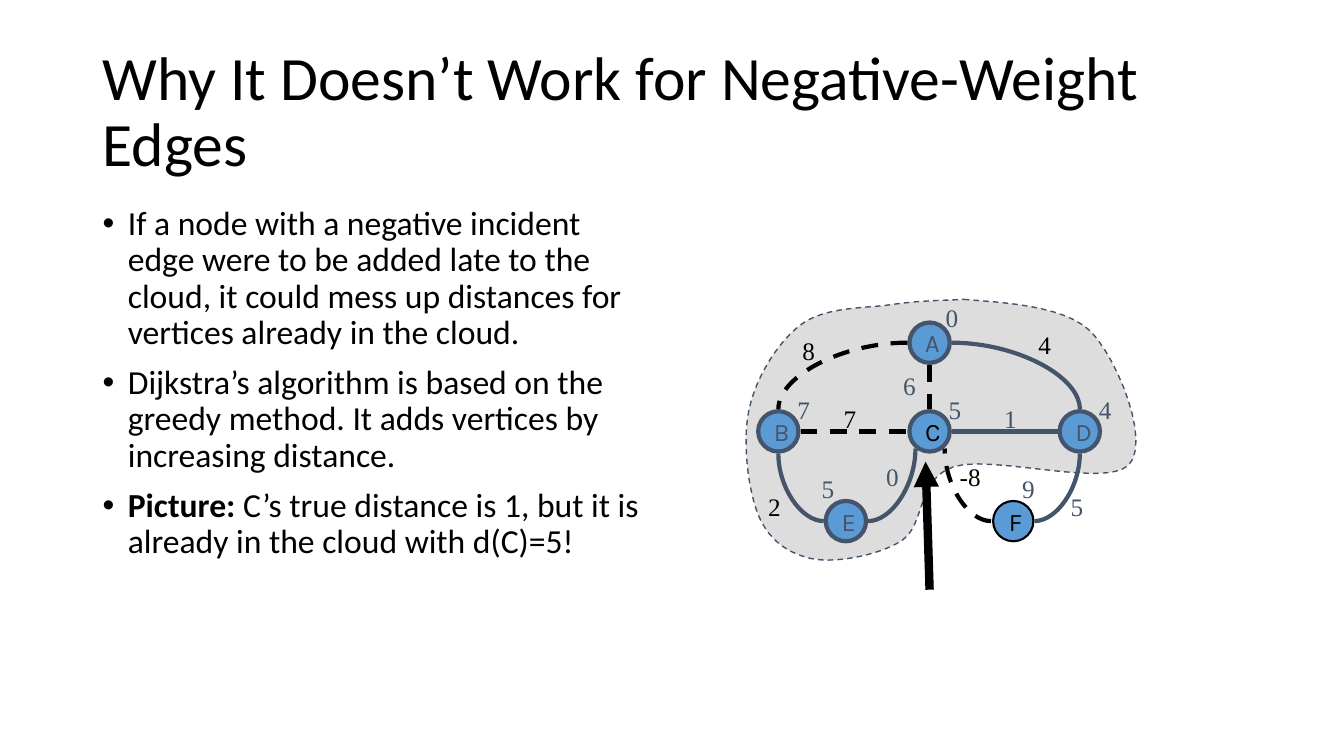
from lxml import etree
from pptx import Presentation
from pptx.dml.color import RGBColor
from pptx.enum import dml, shapes, text
from pptx.oxml import ns
from pptx.util import Inches, Pt

COLORS = {"ink": "000000", "slate": "44546A", "node": "5B9BD5", "cloud": "DDDDDD"}
RGB = {name: RGBColor.from_string(code) for name, code in COLORS.items()}
DASH = dml.MSO_LINE.DASH

deck = Presentation()
deck.slide_width, deck.slide_height = Inches(13.33), Inches(7.5)
slide = deck.slides.add_slide(deck.slide_layouts[6])
items = slide.shapes


def style(para, size, face, color):
    para.font.size = Pt(size)
    para.font.name = face
    para.font.color.rgb = RGB[color]


def link(kind, start, end, color, width=3, dash=False):
    line = items.add_connector(kind, *map(Inches, start + end))
    line.line.color.rgb = RGB[color]
    line.line.width = Pt(width)
    if dash:
        line.line.dash_style = DASH
    etree.SubElement(line._element.spPr, ns.qn("a:effectLst"))
    return line


# Title
box = items.add_textbox(*map(Inches, (0.92, 0.4, 11.5, 1.45)))
frame = box.text_frame
frame.word_wrap = True
frame.vertical_anchor = text.MSO_ANCHOR.MIDDLE
para = frame.paragraphs[0]
para.text = "Why It Doesn’t Work for Negative-Weight Edges"
para.line_spacing = 0.9
style(para, 44, "Calibri", "ink")

# Bullets: bold lead, then the rest
points = [
    ("", "If a node with a negative incident edge were to be added late to the cloud, "
         "it could mess up distances for vertices already in the cloud."),
    ("", "Dijkstra’s algorithm is based on the greedy method. "
         "It adds vertices by increasing distance."),
    ("Picture: ", "C’s true distance is 1, but it is already in the cloud with d(C)=5!"),
]
box = items.add_textbox(*map(Inches, (0.92, 2, 5.67, 4.76)))
frame = box.text_frame
frame.word_wrap = True
for i, (lead, rest) in enumerate(points):
    para = frame.add_paragraph() if i else frame.paragraphs[0]
    para.line_spacing = 0.9
    para.space_before = Pt(10 if i else 0)
    props = para._p.get_or_add_pPr()
    props.set("marL", str(Inches(0.25)))
    props.set("indent", str(-Inches(0.25)))
    etree.SubElement(props, ns.qn("a:buFont"), typeface="Arial")
    etree.SubElement(props, ns.qn("a:buChar"), char="•")
    style(para, 24, "Calibri", "ink")
    if lead:
        run = para.add_run()
        run.text = lead
        run.font.bold = True
    para.add_run().text = rest

# Cloud: each row holds two control points and an end point
first = (9.56, 2.97)
curves = [
    ((9.89, 3), (10.55, 3.02), (10.82, 3.29)),
    ((11.09, 3.57), (11.42, 4.4), (11.19, 4.62)),
    ((10.96, 4.84), (9.83, 4.51), (9.46, 4.63)),
    ((9.09, 4.75), (9.18, 5.2), (8.95, 5.36)),
    ((8.72, 5.51), (8.32, 5.58), (8.09, 5.55)),
    ((7.85, 5.51), (7.64, 5.38), (7.53, 5.13)),
    ((7.42, 4.88), (7.36, 4.38), (7.43, 4.06)),
    ((7.5, 3.74), (7.72, 3.38), (7.96, 3.21)),
    ((8.2, 3.04), (8.59, 3.06), (8.86, 3.02)),
    ((9.12, 2.98), (9.42, 2.98), first),
]
steps = 12
rim = []
last = first
for one, two, end in curves:
    for n in range(1, steps + 1):
        t = n / steps
        s = 1 - t
        rim.append(tuple(
            Inches(s**3 * a + 3 * s * s * t * b + 3 * s * t * t * c + t**3 * d)
            for a, b, c, d in zip(last, one, two, end)))
    last = end
path = items.build_freeform(*map(Inches, first))
path.add_line_segments(rim, close=True)
cloud = path.convert_to_shape()
cloud.shadow.inherit = False
cloud.fill.solid()
cloud.fill.fore_color.rgb = RGB["cloud"]
cloud.line.color.rgb = RGB["slate"]
cloud.line.width = Pt(1)
cloud.line.dash_style = DASH

# Nodes: centre, text colour, line colour, line width
size = 0.4
nodes = {
    "A": (9.22, 3.4, "slate", "slate", 3),
    "B": (7.72, 4.28, "slate", "slate", 3),
    "C": (9.22, 4.28, "ink", "slate", 3),
    "D": (10.71, 4.28, "slate", "slate", 3),
    "E": (8.39, 5.17, "slate", "slate", 3),
    "F": (10.05, 5.17, "ink", "ink", 1.5),
}
for name, (x, y, color, edge, width) in nodes.items():
    node = items.add_shape(shapes.MSO_SHAPE.OVAL, Inches(x - size / 2),
                           Inches(y - size / 2), Inches(size), Inches(size))
    node.shadow.inherit = False
    node.fill.solid()
    node.fill.fore_color.rgb = RGB["node"]
    node.line.color.rgb = RGB[edge]
    node.line.width = Pt(width)
    frame = node.text_frame
    frame.word_wrap = False
    frame.vertical_anchor = text.MSO_ANCHOR.MIDDLE
    para = frame.paragraphs[0]
    para.text = name
    para.alignment = text.PP_ALIGN.LEFT
    style(para, 18, "Karla", color)

# Edges: every curve leaves sideways and arrives upright
STRAIGHT, CURVE = shapes.MSO_CONNECTOR.STRAIGHT, shapes.MSO_CONNECTOR.CURVE
edges = [
    (CURVE, (9, 3.4), (7.72, 4.06), True),
    (CURVE, (8.17, 5.17), (7.72, 4.5), False),
    (CURVE, (8.61, 5.17), (9.08, 4.45), False),
    (CURVE, (10.26, 5.17), (10.71, 4.5), False),
    (CURVE, (9.44, 3.4), (10.71, 4.06), False),
    (CURVE, (9.83, 5.17), (9.37, 4.45), True),
    (STRAIGHT, (9.22, 3.62), (9.22, 4.06), True),
    (STRAIGHT, (7.94, 4.28), (9, 4.28), True),
    (STRAIGHT, (9.44, 4.28), (10.49, 4.28), False),
]
for kind, start, end, dash in edges:
    line = link(kind, start, end, "ink" if dash else "slate", dash=dash)
    if kind == CURVE:
        line._element.spPr.find(ns.qn("a:prstGeom")).set("prst", "curvedConnector2")

# Distances and weights
labels = [
    ("0", 9.28, 2.95, "slate"), ("4", 10.8, 3.86, "slate"),
    ("5", 9.31, 3.86, "slate"), ("7", 7.81, 3.86, "slate"),
    ("5", 8.05, 4.65, "slate"), ("9", 10.04, 4.65, "slate"),
    ("4", 10.2, 3.22, "ink"), ("8", 7.86, 3.28, "ink"),
    ("7", 8.27, 3.95, "ink"), ("1", 9.86, 3.95, "slate"),
    ("2", 7.52, 4.83, "ink"), ("5", 10.52, 4.83, "slate"),
    ("6", 8.86, 3.62, "slate"), ("0", 8.69, 4.53, "slate"),
    ("-8", 9.42, 4.53, "ink"),
]
for label, x, y, color in labels:
    wide = 0.25 + 0.08 * len(label)
    box = items.add_textbox(*map(Inches, (x, y, wide, 0.4)))
    frame = box.text_frame
    frame.word_wrap = False
    frame.auto_size = text.MSO_AUTO_SIZE.SHAPE_TO_FIT_TEXT
    para = frame.paragraphs[0]
    para.text = label
    style(para, 18, "Times New Roman", color)

# Arrow to C
arrow = link(STRAIGHT, (9.22, 5.85), (9.18, 4.58), "ink", 6)
etree.SubElement(arrow.line._get_or_add_ln(), ns.qn("a:tailEnd"), type="triangle")

deck.save("out.pptx")
